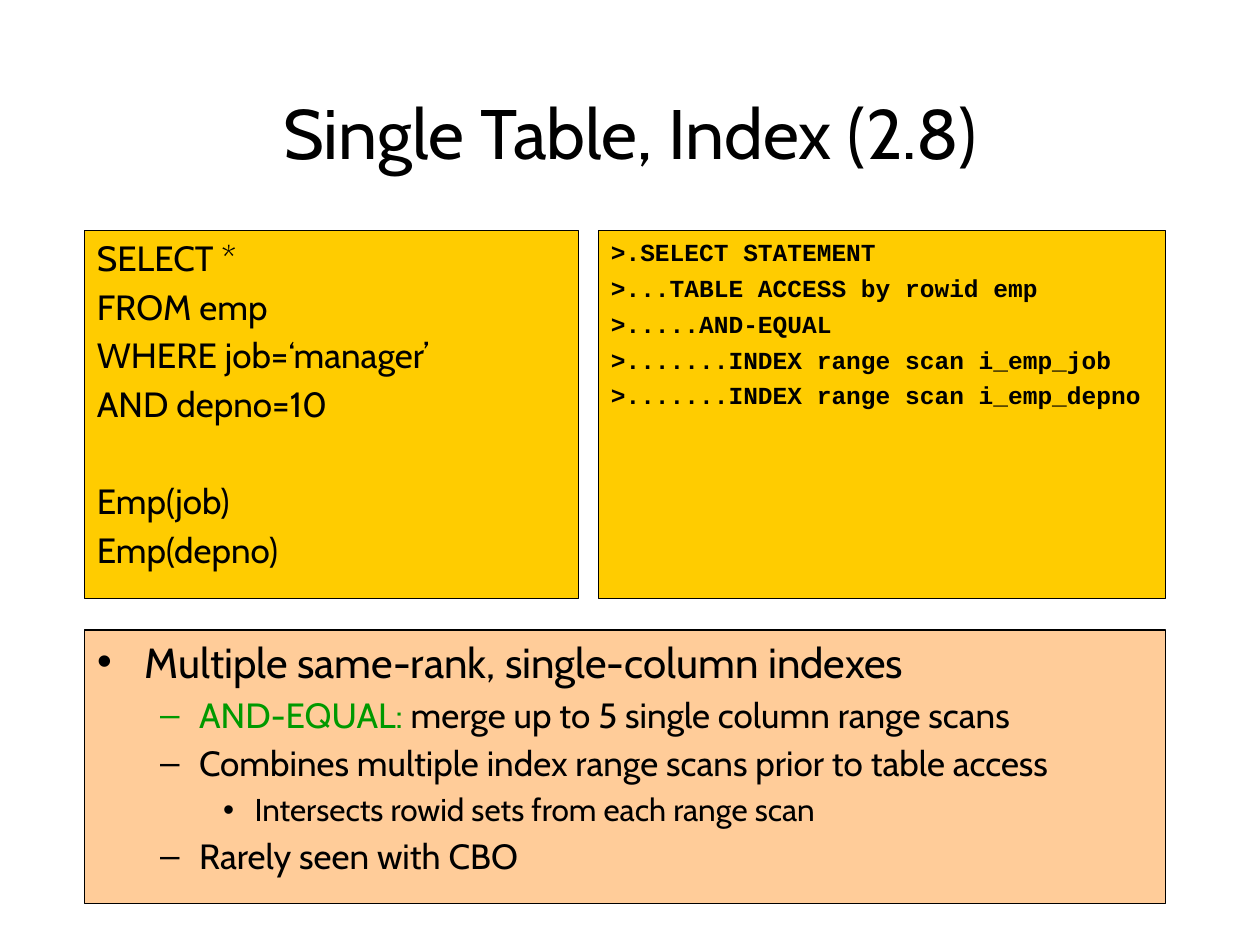
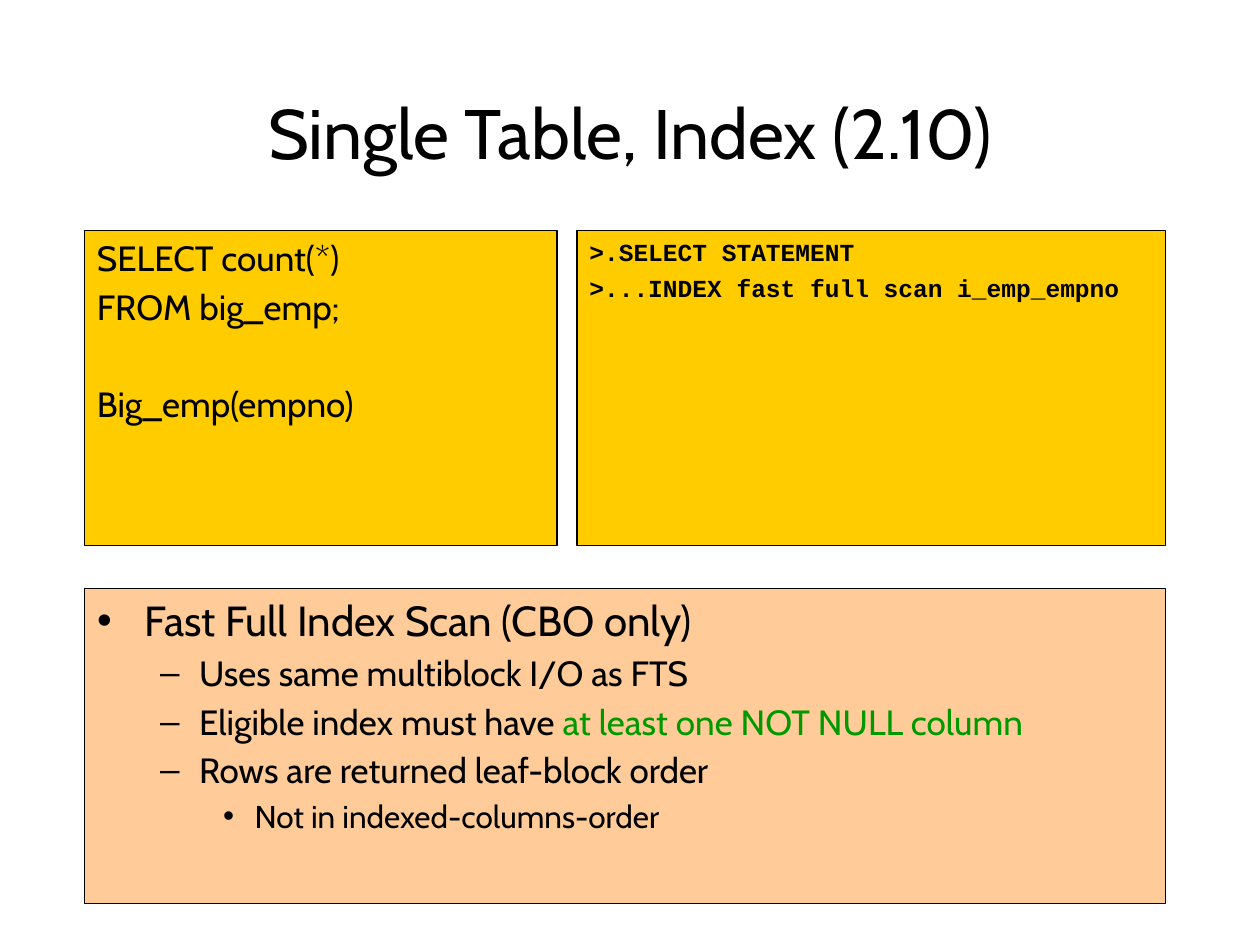
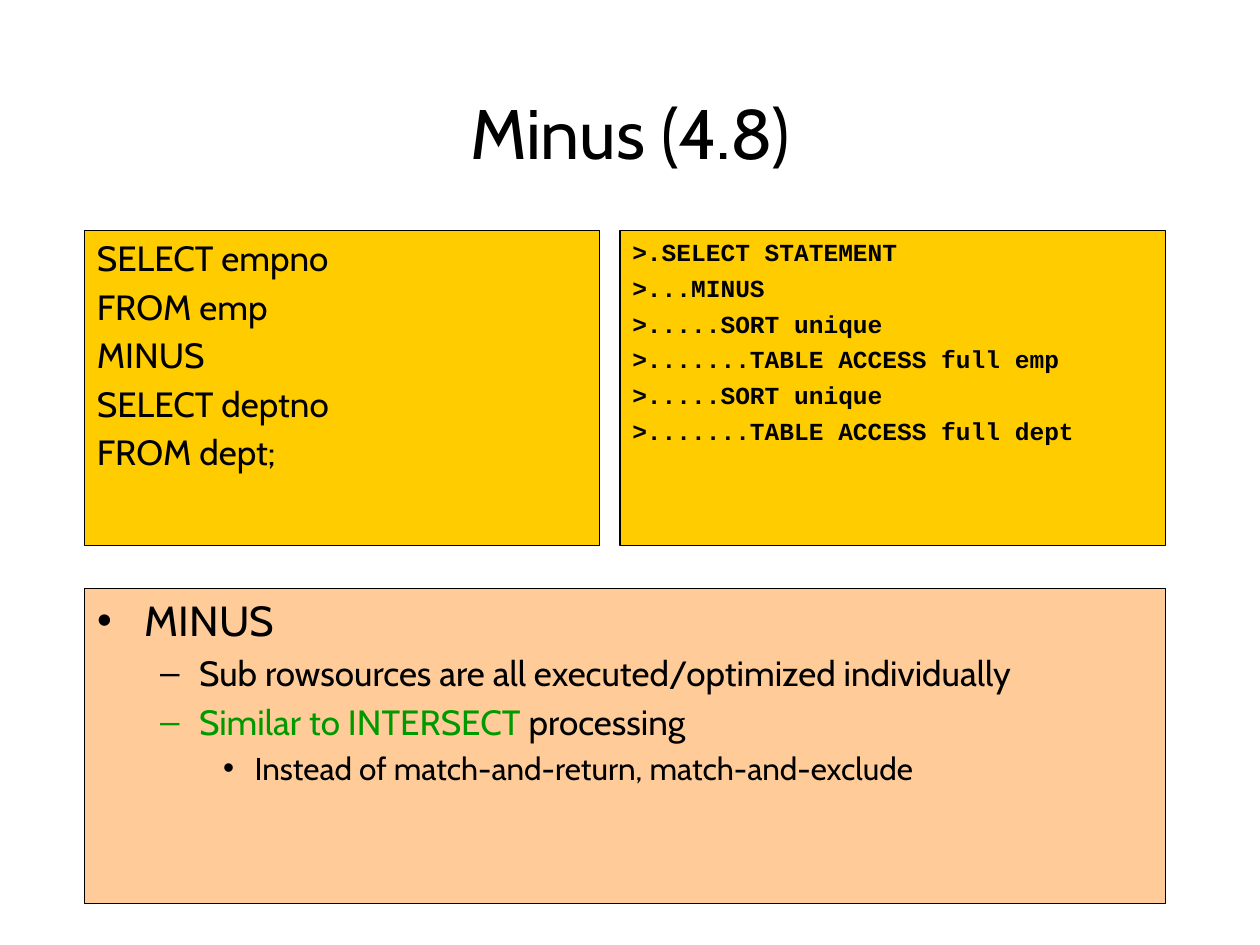
from dataclasses import dataclass

from pptx import Presentation
from pptx.dml.color import RGBColor
from pptx.enum.shapes import MSO_SHAPE
from pptx.enum.text import MSO_ANCHOR, MSO_AUTO_SIZE, PP_ALIGN
from pptx.util import Inches, Pt

BLACK = RGBColor(0x00, 0x00, 0x00)
GREEN = RGBColor(0x00, 0x99, 0x00)
GOLD = RGBColor(0xFF, 0xCC, 0x00)
PEACH = RGBColor(0xFF, 0xCC, 0x99)

SANS = "Cabin"
MONO = "Courier New"
LEFT, RIGHT = 0.67, 9.25
TOP, BASE = 1.83, 7.17
GAP = 0.16
SPACE = 3.7
BREAK = 28
SIZES = (24, 20, 18)
INDENTS = ((0.38, -0.38), (0.81, -0.31), (1.25, -0.25))


@dataclass(frozen=True)
class Span:
    text: str
    color: RGBColor = BLACK


@dataclass(frozen=True)
class Line:
    spans: tuple[Span, ...]
    level: int = 0


@dataclass(frozen=True)
class Page:
    title: str
    split: float
    height: float
    start: float
    query: tuple[str, ...]
    keys: tuple[str, ...]
    plan: tuple[str, ...]
    notes: tuple[Line, ...]


def point(level: int, *spans: str | Span) -> Line:
    return Line(tuple(Span(s) if isinstance(s, str) else s for s in spans), level)


def plain(texts: tuple[str, ...]) -> list[Line]:
    return [point(0, text) for text in texts]


PAGES = (
    Page(
        title="Single Table, Index (2.8)",
        split=4.75, height=2.92, start=5,
        query=("SELECT *", "FROM emp", "WHERE job=‘manager’", "AND depno=10"),
        keys=("Emp(job)", "Emp(depno)"),
        plan=(
            ">.SELECT STATEMENT",
            ">...TABLE ACCESS by rowid emp",
            ">.....AND-EQUAL",
            ">.......INDEX range scan i_emp_job",
            ">.......INDEX range scan i_emp_depno",
        ),
        notes=(
            point(0, "Multiple same-rank, single-column indexes"),
            point(1, Span("AND-EQUAL:", GREEN), " merge up to 5 single column range scans"),
            point(1, "Combines multiple index range scans prior to table access"),
            point(2, "Intersects rowid sets from each range scan"),
            point(1, "Rarely seen with CBO"),
        ),
    ),
    Page(
        title="Single Table, Index (2.10)",
        split=4.58, height=2.5, start=4.67,
        query=("SELECT count(*)", "FROM big_emp;"),
        keys=("Big_emp(empno)",),
        plan=(">.SELECT STATEMENT", ">...INDEX fast full scan i_emp_empno"),
        notes=(
            point(0, "Fast Full Index Scan (CBO only)"),
            point(1, "Uses same multiblock I/O as FTS"),
            point(1, "Eligible index must have ", Span("at least one NOT NULL column", GREEN)),
            point(1, "Rows are returned leaf-block order"),
            point(2, "Not in indexed-columns-order"),
        ),
    ),
    Page(
        title="Minus (4.8)",
        split=4.92, height=2.5, start=4.67,
        query=("SELECT empno", "FROM emp", "MINUS", "SELECT deptno", "FROM dept;"),
        keys=(),
        plan=(
            ">.SELECT STATEMENT",
            ">...MINUS",
            ">.....SORT unique",
            ">.......TABLE ACCESS full emp",
            ">.....SORT unique",
            ">.......TABLE ACCESS full dept",
        ),
        notes=(
            point(0, "MINUS"),
            point(1, "Sub rowsources are all executed/optimized individually"),
            point(1, Span("Similar to INTERSECT", GREEN), " processing"),
            point(2, "Instead of match-and-return, match-and-exclude"),
        ),
    ),
)


def write(shape, lines, *, sizes=SIZES, font=SANS, bold=False, align=PP_ALIGN.LEFT,
          anchor=MSO_ANCHOR.TOP, indent=True, split=0) -> None:
    frame = shape.text_frame
    frame.word_wrap = True
    frame.auto_size = MSO_AUTO_SIZE.NONE
    frame.vertical_anchor = anchor
    for index, line in enumerate(lines):
        para = frame.add_paragraph() if index else frame.paragraphs[0]
        para.level = line.level
        para.alignment = align
        space = SPACE + BREAK if index == split else SPACE
        para.space_before = Pt(space if index else 0)
        if indent:
            margin, hang = INDENTS[line.level]
            props = para._p.get_or_add_pPr()
            props.set("marL", str(Inches(margin)))
            props.set("indent", str(Inches(hang)))
        for span in line.spans:
            run = para.add_run()
            run.text = span.text
            run.font.name = font
            run.font.size = Pt(sizes[line.level])
            run.font.bold = bold
            run.font.color.rgb = span.color


def place(shape, left: float, top: float, width: float, height: float) -> None:
    shape.left, shape.top = Inches(left), Inches(top)
    shape.width, shape.height = Inches(width), Inches(height)


def paint(shape, color: RGBColor) -> None:
    shape.fill.solid()
    shape.fill.fore_color.rgb = color
    shape.line.color.rgb = BLACK
    shape.line.width = Pt(0.75)


def panel(slide, left: float, right: float, height: float):
    shape = slide.shapes.add_shape(
        MSO_SHAPE.RECTANGLE, Inches(left), Inches(TOP), Inches(right - left), Inches(height))
    shape.shadow.inherit = False
    paint(shape, GOLD)
    return shape


def build(deck, page: Page) -> None:
    slide = deck.slides.add_slide(deck.slide_layouts[1])
    title, body = slide.shapes.title, slide.placeholders[1]

    place(title, 0.75, 0.67, 8.5, 0.75)
    write(title, plain((page.title,)), sizes=(40,), align=PP_ALIGN.CENTER,
          anchor=MSO_ANCHOR.MIDDLE, indent=False)

    place(body, LEFT, page.start, RIGHT - LEFT, BASE - page.start)
    paint(body, PEACH)
    write(body, page.notes)

    plan = panel(slide, page.split, RIGHT, page.height)
    write(plan, plain(page.plan), sizes=(14,), font=MONO, bold=True)

    query = panel(slide, LEFT, page.split - GAP, page.height)
    write(query, plain(page.query + page.keys), sizes=(20,), split=len(page.query))


def main() -> None:
    deck = Presentation()
    deck.slide_width, deck.slide_height = Inches(10), Inches(7.5)
    for page in PAGES:
        build(deck, page)
    deck.save("out.pptx")


if __name__ == "__main__":
    main()
